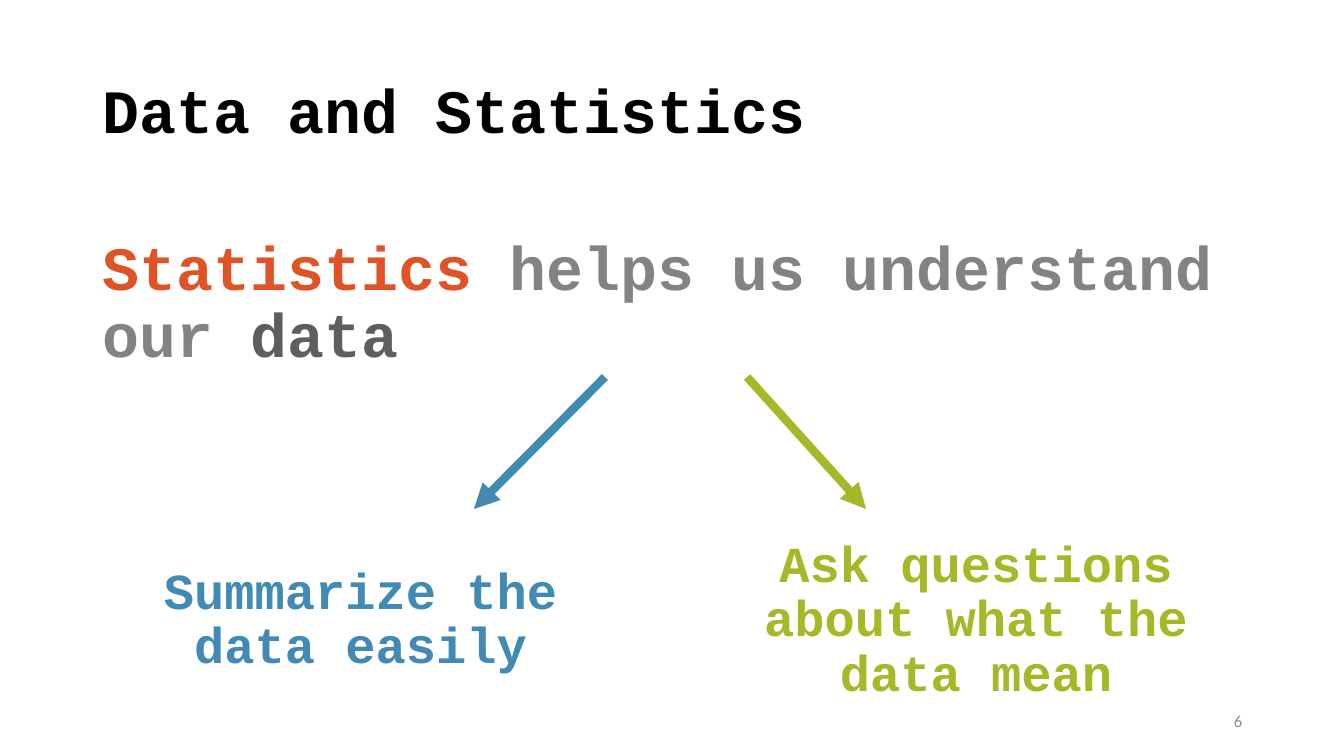
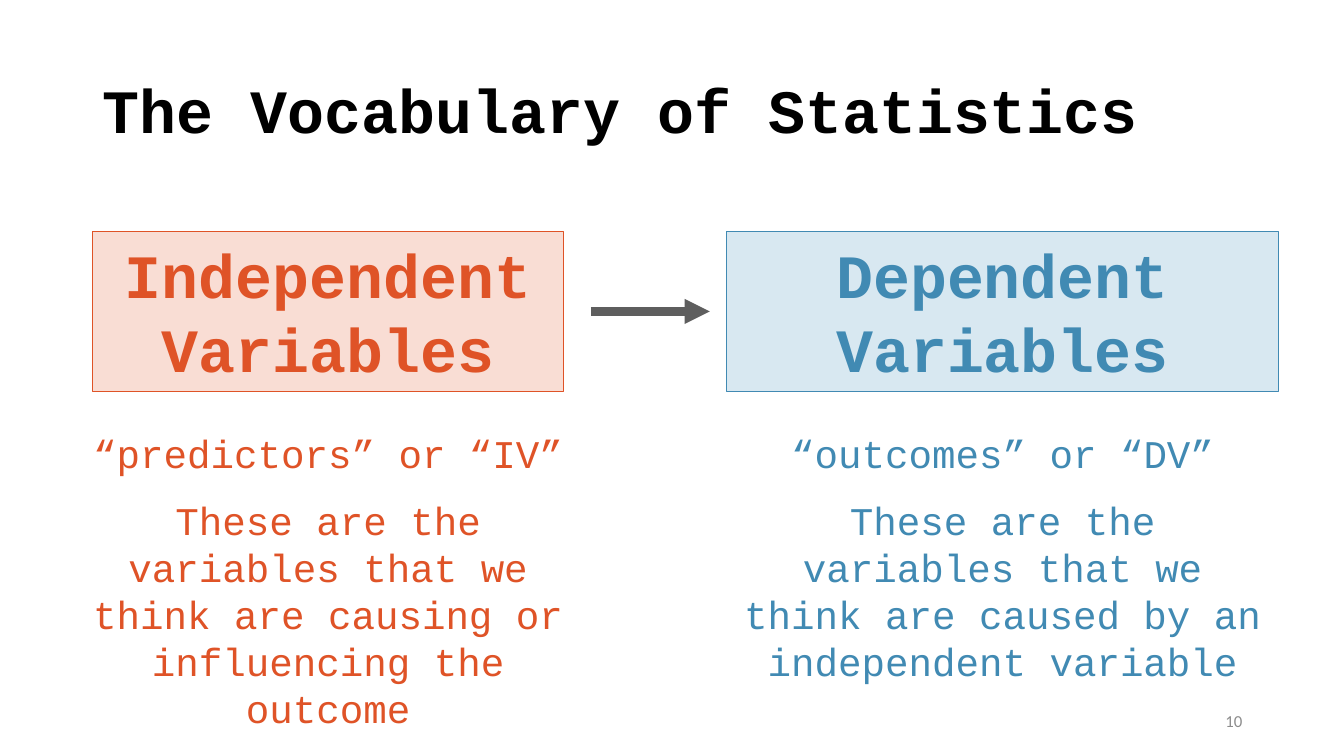
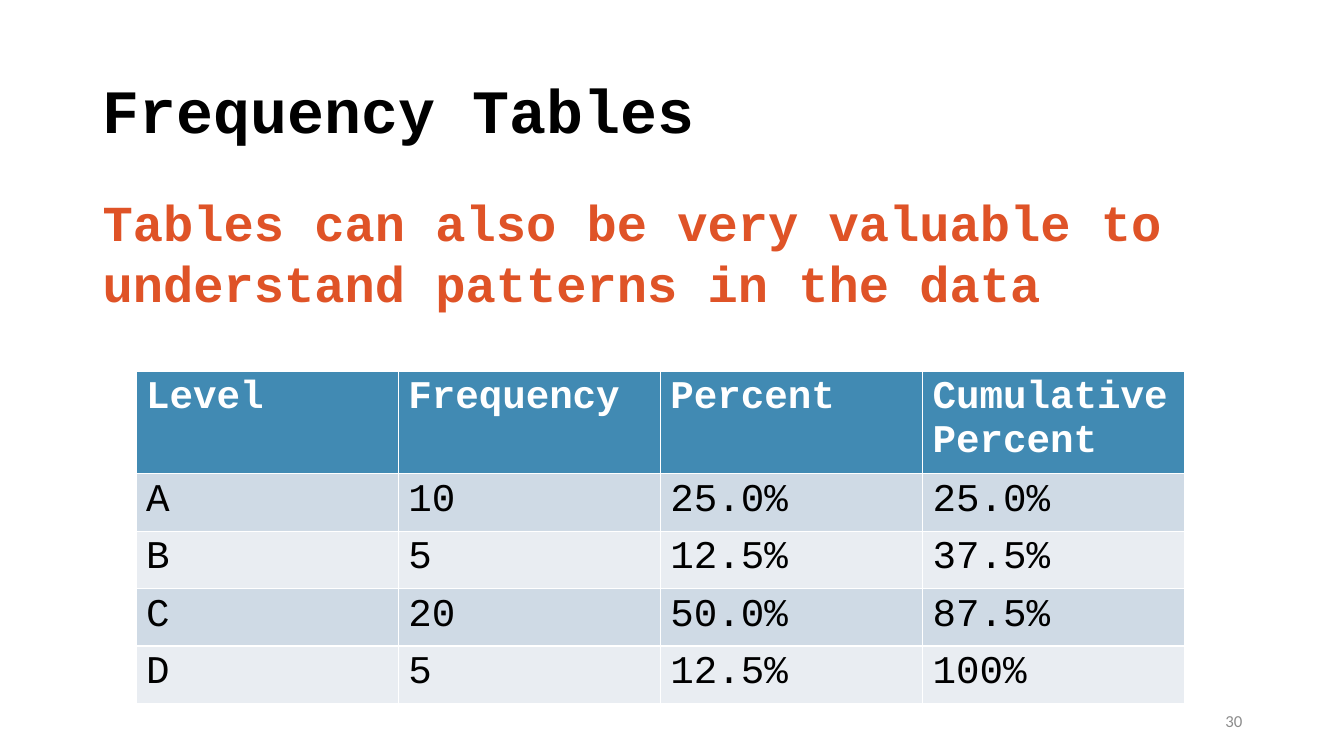
from lxml.etree import SubElement
from pptx import Presentation
from pptx.dml.color import RGBColor
from pptx.enum.shapes import MSO_CONNECTOR, MSO_SHAPE
from pptx.enum.text import MSO_ANCHOR, MSO_AUTO_SIZE, PP_ALIGN
from pptx.oxml.ns import qn
from pptx.util import Emu, Pt

EMU_PER_PX = 9144  # 100 px to the inch
TITLE_ONLY = 5
MONO, SANS = "Courier New", "Calibri"
BLACK, WHITE = "000000", "FFFFFF"
ORANGE, BLUE, GREEN = "DF5327", "418AB3", "A6B727"
DARK_GRAY, GRAY, PALE_GRAY = "5E5E5E", "838383", "8C8C8C"
PALE_ORANGE, PALE_BLUE = "F9DDD4", "D8E8F1"
BANDS = ("CFDAE5", "E9EDF2")
TITLE_BOX = (92, 40, 1150, 145)
NUMBER_BOX = (942, 695, 300, 40)


def px(*lengths):
    return [Emu(length * EMU_PER_PX) for length in lengths]


def rgb(color):
    return RGBColor.from_string(color)


def style_font(paragraph, size, color, bold=False, name=MONO):
    font = paragraph.font
    font.name, font.size, font.bold = name, Pt(size), bold
    font.color.rgb = rgb(color)


def write(shape, paragraphs, size, color, bold=False, name=MONO,
          align=PP_ALIGN.LEFT, anchor=MSO_ANCHOR.TOP, spacing=1.0, gap=0):
    """Fill a shape; a paragraph is a string or a list of (text, color) runs."""
    frame = shape.text_frame
    frame.word_wrap = True
    frame.auto_size = MSO_AUTO_SIZE.NONE
    frame.vertical_anchor = anchor
    for index, content in enumerate(paragraphs):
        paragraph = frame.add_paragraph() if index else frame.paragraphs[0]
        paragraph.alignment = align
        paragraph.line_spacing = spacing
        if index:
            paragraph.space_before = Pt(gap)
        style_font(paragraph, size, color, bold, name)
        runs = [(content, color)] if isinstance(content, str) else content
        for text, run_color in runs:
            run = paragraph.add_run()
            run.text = text
            if run_color != color:
                run.font.color.rgb = rgb(run_color)


def add_text(slide, box, paragraphs, size, color, **options):
    write(slide.shapes.add_textbox(*px(*box)), paragraphs, size, color, **options)


def add_arrow(slide, start, end, color):
    arrow = slide.shapes.add_connector(MSO_CONNECTOR.STRAIGHT, *px(*start, *end))
    arrow.line.color.rgb = rgb(color)
    arrow.line.width = Pt(6)
    properties = arrow._element.spPr
    SubElement(properties.find(qn("a:ln")), qn("a:tailEnd"), type="triangle")
    SubElement(properties, qn("a:effectLst"))


def add_slide(presentation, title, number):
    slide = presentation.slides.add_slide(presentation.slide_layouts[TITLE_ONLY])
    heading = slide.shapes.title
    heading.left, heading.top, heading.width, heading.height = px(*TITLE_BOX)
    write(heading, [title], 44, BLACK, bold=True,
          anchor=MSO_ANCHOR.MIDDLE, spacing=0.9)
    add_text(slide, NUMBER_BOX, [str(number)], 12, PALE_GRAY, name=SANS,
             align=PP_ALIGN.RIGHT, anchor=MSO_ANCHOR.MIDDLE)
    return slide


def add_variable_box(slide, box, text, color, fill):
    shape = slide.shapes.add_shape(MSO_SHAPE.RECTANGLE, *px(*box))
    shape.shadow.inherit = False
    shape.fill.solid()
    shape.fill.fore_color.rgb = rgb(fill)
    shape.line.color.rgb = rgb(color)
    shape.line.width = Pt(0.75)
    write(shape, [text], 44, color, bold=True, align=PP_ALIGN.CENTER)


def add_frequency_table(slide, box, rows, header_height):
    left, top, width, height = box
    table = slide.shapes.add_table(len(rows), len(rows[0]), *px(*box)).table
    row_height = (height - header_height) // (len(rows) - 1)
    for column in table.columns:
        column.width = px(width // len(rows[0]))[0]
    for row_index, values in enumerate(rows):
        header = row_index == 0
        table.rows[row_index].height = px(header_height if header else row_height)[0]
        for column_index, value in enumerate(values):
            cell = table.cell(row_index, column_index)
            cell.fill.solid()
            cell.fill.fore_color.rgb = rgb(BLUE if header else BANDS[(row_index - 1) % 2])
            cell.text = value
            style_font(cell.text_frame.paragraphs[0], 28,
                       WHITE if header else BLACK, bold=header)


def build_purpose_slide(presentation):
    slide = add_slide(presentation, "Data and Statistics", 6)
    middle = {"bold": True, "anchor": MSO_ANCHOR.MIDDLE, "spacing": 0.9}
    statement = [("Statistics", ORANGE), (" helps us understand our ", GRAY),
                 ("data", DARK_GRAY)]
    add_text(slide, (92, 229, 1150, 145), [statement], 44, GRAY, **middle)
    branches = [
        ((600, 374), (470, 505), (115, 519, 485, 193), BLUE,
         "Summarize the data easily"),
        ((741, 374), (859, 505), (695, 519, 546, 193), GREEN,
         "Ask questions about what the data mean"),
    ]
    for start, end, box, color, text in branches:
        add_arrow(slide, start, end, color)
        add_text(slide, box, [text], 36, color, align=PP_ALIGN.CENTER, **middle)


def build_vocabulary_slide(presentation):
    slide = add_slide(presentation, "The Vocabulary of Statistics", 10)
    variables = [
        ((92, 230, 467, 158), 49, ORANGE, PALE_ORANGE, "Independent Variables",
         ["“predictors” or “IV”",
          "These are the variables that we think are causing or influencing the outcome"]),
        ((721, 230, 547, 158), 718, BLUE, PALE_BLUE, "Dependent Variables",
         ["“outcomes” or “DV”",
          "These are the variables that we think are caused by an independent variable"]),
    ]
    for box, text_left, color, fill, name, description in variables:
        add_variable_box(slide, box, name, color, fill)
        add_text(slide, (text_left, 421, 553, 266), description, 28, color,
                 align=PP_ALIGN.CENTER, gap=14)
    add_arrow(slide, (586, 309), (704, 309), DARK_GRAY)


def build_frequency_slide(presentation):
    slide = add_slide(presentation, "Frequency Tables", 30)
    add_text(slide, (92, 185, 1129, 131),
             ["Tables can also be very valuable to understand patterns in the data"],
             36, ORANGE, bold=True)
    rows = [
        ("Level", "Frequency", "Percent", "Cumulative Percent"),
        ("A", "10", "25.0%", "25.0%"),
        ("B", "5", "12.5%", "37.5%"),
        ("C", "20", "50.0%", "87.5%"),
        ("D", "5", "12.5%", "100%"),
    ]
    add_frequency_table(slide, (135, 368, 1042, 330), rows, header_height=102)


def main():
    presentation = Presentation()
    presentation.slide_width, presentation.slide_height = px(1333, 750)
    build_purpose_slide(presentation)
    build_vocabulary_slide(presentation)
    build_frequency_slide(presentation)
    presentation.save("out.pptx")


if __name__ == "__main__":
    main()
